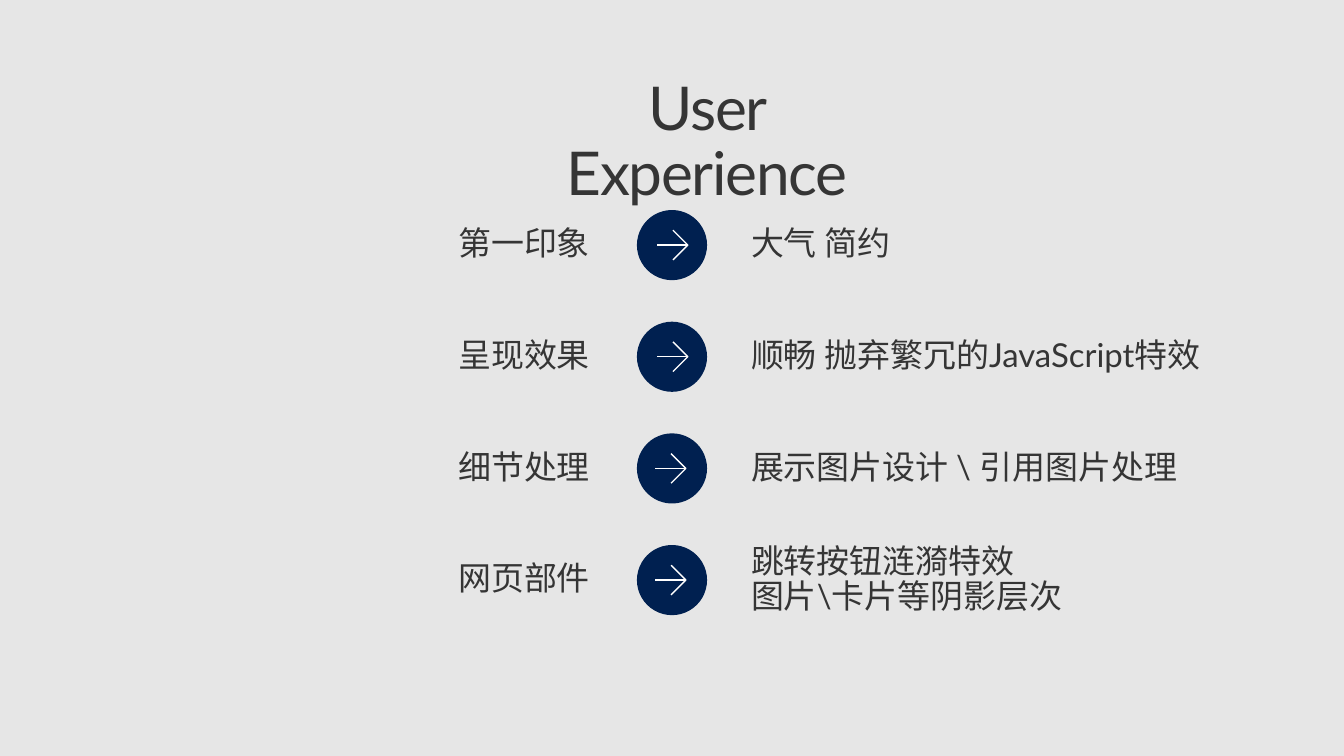
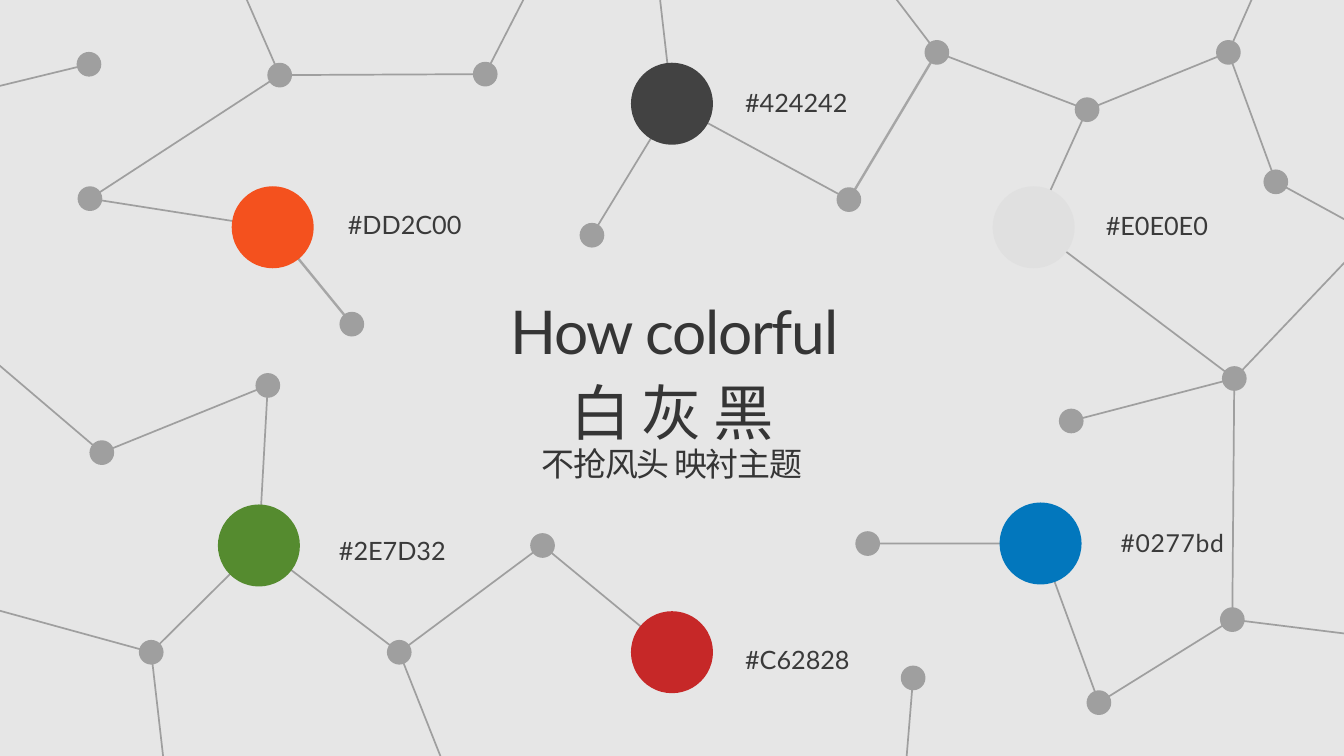
from dataclasses import dataclass
from typing import Any, NamedTuple

from lxml import etree
from pptx import Presentation
from pptx import util as u
from pptx.dml.color import RGBColor
from pptx.enum import shapes, text
from pptx.oxml import ns
from pptx.shapes.shapetree import GroupShapes, SlideShapes

EMU_PER_PX = 9144
SLIDE_W, SLIDE_H = 1360, 765

PAPER = RGBColor(0xE6, 0xE6, 0xE6)
INK = RGBColor(0x35, 0x35, 0x35)
LABEL_INK = RGBColor(0x3A, 0x3A, 0x3A)
NAVY = RGBColor(0x00, 0x20, 0x50)
WHITE = RGBColor(0xFF, 0xFF, 0xFF)
NODE_GREY = RGBColor(0x9F, 0x9F, 0x9F)
BOLD_LINK_GREY = RGBColor(0xA6, 0xA6, 0xA6)
CHARCOAL = RGBColor(0x42, 0x42, 0x42)
PALE = RGBColor(0xE0, 0xE0, 0xE0)
RED = RGBColor(0xC6, 0x28, 0x28)
BLUE = RGBColor(0x02, 0x77, 0xBD)
ORANGE = RGBColor(0xF4, 0x51, 0x1E)
GREEN = RGBColor(0x55, 0x8B, 0x2F)

LATIN, CJK = "Lato", "Noto Sans CJK SC"
LEFT, CENTER, RIGHT = text.PP_ALIGN.LEFT, text.PP_ALIGN.CENTER, text.PP_ALIGN.RIGHT
TOP, MIDDLE = text.MSO_ANCHOR.TOP, text.MSO_ANCHOR.MIDDLE

ROW_TOP, ROW_STEP, ROW_H = 197, 113, 102
BADGE_X, BADGE_SIZE = 680, 71
ARROW_LENGTH, ARROW_HEAD = 31, 15
NODE_SIZE, SWATCH_SIZE = 25, 83


class Point(NamedTuple):
    x: int
    y: int


class Box(NamedTuple):
    x: int
    y: int
    w: int
    h: int


@dataclass(frozen=True)
class Style:
    size: float
    color: RGBColor = INK
    font: str = LATIN
    tracking: int = 0


@dataclass(frozen=True)
class Frame:
    align: text.PP_ALIGN
    anchor: text.MSO_ANCHOR = MIDDLE
    insets: tuple[int, int, int, int] = (0, 5, 0, 5)


@dataclass(frozen=True)
class Aspect:
    topic: str
    answers: tuple[str, ...]
    arrow_x: int


@dataclass(frozen=True)
class Swatch:
    center: Point
    color: RGBColor
    code: str
    label: Point
    style: Style


@dataclass(frozen=True)
class Link:
    start: str
    end: str
    bold: bool = False


TITLE = Style(44, tracking=-100)
CJK_TITLE = Style(44, font=CJK, tracking=-100)
SUBTITLE = Style(24, font=CJK, tracking=-100)
BODY = Style(24)
CODE = Style(18.4, LABEL_INK)
SPACED_CODE = Style(18, LABEL_INK, tracking=50)

CENTERED = Frame(CENTER)
HEADING = Frame(CENTER, TOP, (0, 0, 0, 0))
TOPIC = Frame(RIGHT, insets=(20, 16, 20, 16))
ANSWER = Frame(LEFT, insets=(20, 16, 20, 16))
CODE_LABEL = Frame(LEFT, insets=(20, 5, 0, 5))

ASPECTS = (
    Aspect("第一印象", ("大气 简约",), 665),
    Aspect("呈现效果", ("顺畅 抛弃繁冗的JavaScript特效",), 665),
    Aspect("细节处理", ("展示图片设计 \\ 引用图片处理",), 663),
    Aspect("网页部件", ("跳转按钮涟漪特效", "图片\\卡片等阴影层次"), 663),
)

SWATCHES = {
    "charcoal": Swatch(Point(680, 105), CHARCOAL, "#424242", Point(734, 105), CODE),
    "pale": Swatch(Point(1046, 230), PALE, "#E0E0E0", Point(1099, 230), CODE),
    "red": Swatch(Point(680, 660), RED, "#C62828", Point(734, 669), CODE),
    "blue": Swatch(Point(1053, 550), BLUE, "#0277bd", Point(1114, 550), SPACED_CODE),
    "orange": Swatch(Point(276, 230), ORANGE, "#DD2C00", Point(332, 229), CODE),
    "green": Swatch(Point(262, 552), GREEN, "#2E7D32", Point(323, 558), CODE),
}

NODES = {
    "northwest": Point(90, 65),
    "peak": Point(283, 76),
    "crest": Point(491, 75),
    "west": Point(91, 201),
    "spur": Point(356, 328),
    "bend": Point(271, 390),
    "valley": Point(103, 458),
    "foot": Point(153, 660),
    "hollow": Point(404, 660),
    "hill": Point(549, 552),
    "stub": Point(924, 686),
    "base": Point(1112, 711),
    "southeast": Point(1247, 627),
    "inlet": Point(1084, 426),
    "east": Point(1249, 383),
    "fork": Point(1100, 111),
    "northeast": Point(1243, 53),
    "ridge": Point(948, 53),
    "dip": Point(859, 202),
    "drop": Point(599, 238),
    "port": Point(878, 550),
    "edge": Point(1291, 184),
}

LINKS = (
    Link("pale", "east"),
    Link("orange", "spur", bold=True),
    Link("northeast", "edge"),
    Link("orange", "west"),
    Link("west", "peak"),
    Link("peak", "crest"),
    Link("fork", "northeast"),
    Link("fork", "ridge"),
    Link("ridge", "dip", bold=True),
    Link("drop", "charcoal"),
    Link("blue", "base"),
    Link("base", "southeast"),
    Link("port", "blue"),
    Link("valley", "bend"),
    Link("bend", "green"),
    Link("fork", "pale"),
    Link("charcoal", "dip"),
    Link("inlet", "east"),
    Link("southeast", "east"),
    Link("green", "foot"),
    Link("green", "hollow"),
    Link("hill", "hollow"),
    Link("hill", "red"),
)

EXITS = (
    ("charcoal", Point(664, -35)),
    ("foot", Point(167, 782)),
    ("foot", Point(-4, 617)),
    ("edge", Point(1377, 231)),
    ("crest", Point(530, -1)),
    ("northeast", Point(1269, -6)),
    ("southeast", Point(1360, 641)),
    ("ridge", Point(897, -14)),
    ("east", Point(1384, 241)),
    ("hollow", Point(448, 771)),
    ("valley", Point(-32, 343)),
    ("northwest", Point(-17, 91)),
    ("stub", Point(916, 783)),
    ("peak", Point(249, -2)),
)

Canvas = SlideShapes | GroupShapes


def px(length: int) -> int:
    return u.Emu(length * EMU_PER_PX)


def apply(target: Any, values: dict[str, Any]) -> None:
    for name, value in values.items():
        setattr(target, name, value)


def add_text(canvas: Canvas, box: Box, frame: Frame, *lines: tuple[str, Style]) -> None:
    body = canvas.add_textbox(*map(px, box)).text_frame
    left, top, right, bottom = map(px, frame.insets)
    apply(body, {
        "word_wrap": True,
        "vertical_anchor": frame.anchor,
        "margin_left": left,
        "margin_top": top,
        "margin_right": right,
        "margin_bottom": bottom,
    })
    for index, (words, style) in enumerate(lines):
        paragraph = body.add_paragraph() if index else body.paragraphs[0]
        apply(paragraph, {"alignment": frame.align, "line_spacing": 0.9})
        run = paragraph.add_run()
        run.text = words
        apply(run.font, {"size": u.Pt(style.size), "name": style.font})
        run.font.color.rgb = style.color
        properties = run.font._element
        etree.SubElement(properties, ns.qn("a:ea"), typeface=CJK)
        if style.tracking:
            properties.set("spc", str(style.tracking))


def add_disc(canvas: Canvas, center: Point, size: int, color: RGBColor) -> None:
    diameter = px(size)
    left, top = (px(value) - diameter // 2 for value in center)
    disc = canvas.add_shape(shapes.MSO_SHAPE.OVAL, left, top, diameter, diameter)
    disc.shadow.inherit = False
    disc.fill.solid()
    disc.fill.fore_color.rgb = color
    disc.line.fill.background()


def add_line(canvas: Canvas, start: Point, end: Point, color: RGBColor,
             width: float, opacity: int = 100) -> None:
    line = canvas.add_connector(shapes.MSO_CONNECTOR.STRAIGHT, *map(px, (*start, *end)))
    line.line.color.rgb = color
    line.line.width = u.Pt(width)
    properties = line._element.spPr
    if opacity < 100:
        tint = properties.find(".//" + ns.qn("a:srgbClr"))
        etree.SubElement(tint, ns.qn("a:alpha"), val=str(opacity * 1000))
    etree.SubElement(properties, ns.qn("a:effectLst"))


def add_arrow_badge(canvas: Canvas, center: Point, arrow_x: int) -> None:
    badge = canvas.add_group_shape().shapes
    add_disc(badge, center, BADGE_SIZE, NAVY)
    tip = Point(arrow_x + ARROW_LENGTH, center.y)
    add_line(badge, Point(arrow_x, center.y), tip, WHITE, 1)
    back = tip.x - ARROW_HEAD
    outline = badge.build_freeform(back, tip.y - ARROW_HEAD, scale=EMU_PER_PX)
    outline.add_line_segments([tip, (back, tip.y + ARROW_HEAD)], close=False)
    head = outline.convert_to_shape()
    head.shadow.inherit = False
    head.fill.background()
    head.line.color.rgb = WHITE
    head.line.width = u.Pt(1)


def draw_experience(canvas: Canvas) -> None:
    for index, aspect in enumerate(ASPECTS):
        top = ROW_TOP + index * ROW_STEP
        add_text(canvas, Box(131, top, 486, ROW_H), TOPIC, (aspect.topic, BODY))
        add_text(canvas, Box(740, top, 605, ROW_H), ANSWER,
                 *((answer, BODY) for answer in aspect.answers))
        add_arrow_badge(canvas, Point(BADGE_X, top + ROW_H // 2), aspect.arrow_x)
    add_text(canvas, Box(521, 79, 389, 67), HEADING, ("User Experience", TITLE))


def draw_palette(canvas: Canvas) -> None:
    places = NODES | {name: swatch.center for name, swatch in SWATCHES.items()}
    for link in LINKS:
        look = (BOLD_LINK_GREY, 1.75) if link.bold else (INK, 1.25, 40)
        add_line(canvas, places[link.start], places[link.end], *look)
    for name, exit_point in EXITS:
        add_line(canvas, places[name], exit_point, INK, 1.25, 40)
    for center in NODES.values():
        add_disc(canvas, center, NODE_SIZE, NODE_GREY)
    for swatch in SWATCHES.values():
        add_disc(canvas, swatch.center, SWATCH_SIZE, swatch.color)
        label = Box(swatch.label.x, swatch.label.y - 17, 163, 35)
        add_text(canvas, label, CODE_LABEL, (swatch.code, swatch.style))
    add_text(canvas, Box(388, 300, 589, 77), CENTERED, ("How colorful", TITLE))
    add_text(canvas, Box(333, 319, 694, 239), CENTERED,
             ("白 灰 黑", CJK_TITLE), ("不抢风头 映衬主题", SUBTITLE))


def main() -> None:
    deck = Presentation()
    apply(deck, {"slide_width": px(SLIDE_W), "slide_height": px(SLIDE_H)})
    backdrop = deck.slide_master.background.fill
    backdrop.solid()
    backdrop.fore_color.rgb = PAPER
    for draw in (draw_experience, draw_palette):
        draw(deck.slides.add_slide(deck.slide_layouts[6]).shapes)
    deck.save("out.pptx")


if __name__ == "__main__":
    main()
